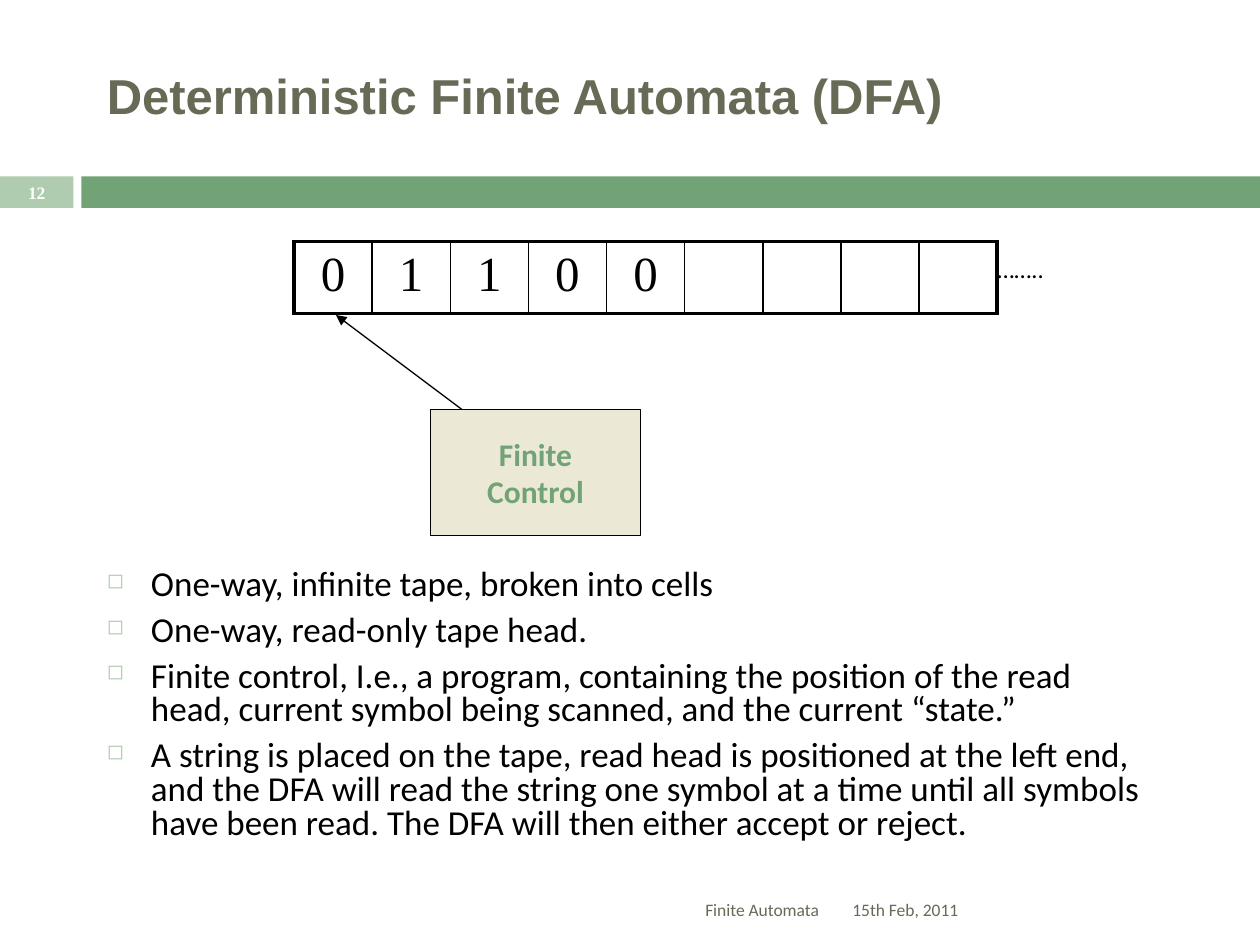
from dataclasses import dataclass

from lxml.etree import SubElement
from pptx import Presentation
from pptx.dml.color import RGBColor
from pptx.enum.shapes import MSO_CONNECTOR, MSO_SHAPE
from pptx.enum.text import MSO_ANCHOR, PP_ALIGN
from pptx.oxml.ns import qn
from pptx.util import Pt


@dataclass(frozen=True)
class Theme:
    """Colours, fonts and type sizes of the slide."""
    green: str = "72A376"
    pale_green: str = "B0CCB0"
    sand: str = "EBE8D5"
    olive: str = "676A55"
    black: str = "000000"
    white: str = "FFFFFF"
    heading: str = "Arial"
    body: str = "Calibri"
    serif: str = "Times New Roman"
    large: int = 28
    medium: int = 20
    label: int = 18
    dots: int = 14
    small: int = 10


THEME = Theme()
TAPE = ["0", "1", "1", "0", "0", "", "", "", ""]
POINTS = [
    "One-way, infinite tape, broken into cells",
    "One-way, read-only tape head.",
    "Finite control, I.e., a program, containing the position of the read "
    "head, current symbol being scanned, and the current “state.”",
    "A string is placed on the tape, read head is positioned at the left end, "
    "and the DFA will read the string one symbol at a time until all symbols "
    "have been read. The DFA will then either accept or reject.",
]


def apply_format(target, values):
    """Set every attribute named in values on target."""
    for name, value in values.items():
        setattr(target, name, value)


def add_span(para, text, name, size, color, bold=False):
    """Add one formatted run to a paragraph."""
    span = para.add_run()
    span.text = text
    apply_format(span.font, {"name": name, "size": Pt(size), "bold": bold})
    span.font.color.rgb = RGBColor.from_string(color)


def fill_text(shape, lines, font, frame_format, para_format):
    """Write each line as a paragraph of the shape and return the paragraphs."""
    frame = shape.text_frame
    apply_format(frame, {"word_wrap": True, **frame_format})
    paras = []
    for index, line in enumerate(lines):
        para = frame.add_paragraph() if index else frame.paragraphs[0]
        apply_format(para, para_format)
        add_span(para, line, **font)
        paras.append(para)
    return paras


def add_text(page, bounds, lines, font, align=PP_ALIGN.LEFT, anchor=MSO_ANCHOR.MIDDLE):
    """Add a text box."""
    box = page.shapes.add_textbox(*map(Pt, bounds))
    fill_text(box, lines, font, {"vertical_anchor": anchor}, {"alignment": align})
    return box


def add_rectangle(page, bounds, color, outline=None):
    """Add a filled rectangle, outlined if a colour is given."""
    box = page.shapes.add_shape(MSO_SHAPE.RECTANGLE, *map(Pt, bounds))
    box.shadow.inherit = False
    box.fill.solid()
    box.fill.fore_color.rgb = RGBColor.from_string(color)
    if outline:
        box.line.color.rgb = RGBColor.from_string(outline)
        box.line.width = Pt(0.75)
    else:
        box.line.fill.background()
    return box


def add_border(cell, side, width):
    """Draw one side of a table cell."""
    line = SubElement(cell._tc.get_or_add_tcPr(), qn(f"a:ln{side}"), w=str(Pt(width)))
    fill = SubElement(line, qn("a:solidFill"))
    SubElement(fill, qn("a:srgbClr"), val=THEME.black)


def add_tape(page, bounds, symbols):
    """Add the tape as a one-row table with a heavy outer border."""
    frame = page.shapes.add_table(1, len(symbols), *map(Pt, bounds))
    table = frame.table
    apply_format(table, {"first_row": False, "horz_banding": False})
    last = len(symbols) - 1
    for index, symbol in enumerate(symbols):
        table.columns[index].width = Pt(bounds[2] / len(symbols))
        cell = table.cell(0, index)
        widths = {"L": 1 if index else 2.25, "R": 1 if index < last else 2.25,
                  "T": 2.25, "B": 2.25}
        for side, width in widths.items():
            add_border(cell, side, width)
        cell.fill.background()
        if symbol:
            para = cell.text_frame.paragraphs[0]
            para.alignment = PP_ALIGN.CENTER
            add_span(para, symbol, THEME.serif, THEME.large, THEME.black)


def add_arrow(page, start, end):
    """Add a thin arrow with its head at the end point."""
    arrow = page.shapes.add_connector(MSO_CONNECTOR.STRAIGHT, *map(Pt, start + end))
    arrow.line.color.rgb = RGBColor.from_string(THEME.black)
    arrow.line.width = Pt(0.75)
    SubElement(arrow.line._get_or_add_ln(), qn("a:tailEnd"), type="triangle")
    SubElement(arrow._element.spPr, qn("a:effectLst"))


def add_bullets(page, bounds, lines):
    """Add a bulleted list with hanging indents."""
    box = page.shapes.add_textbox(*map(Pt, bounds))
    font = {"name": THEME.body, "size": THEME.medium, "color": THEME.black}
    paras = fill_text(box, lines, font, {}, {"line_spacing": 0.8})
    for index, para in enumerate(paras):
        para.space_before = Pt(7 if index else 0)
        properties = para._p.get_or_add_pPr()
        properties.set("marL", str(Pt(25.2)))
        properties.set("indent", str(Pt(-25.2)))
        color = SubElement(properties, qn("a:buClr"))
        SubElement(color, qn("a:srgbClr"), val=THEME.pale_green)
        SubElement(properties, qn("a:buSzPct"), val="60000")
        SubElement(properties, qn("a:buChar"), char="◻")


def main():
    """Build the slide and save it."""
    deck = Presentation()
    apply_format(deck, {"slide_width": Pt(720), "slide_height": Pt(540)})
    page = deck.slides.add_slide(deck.slide_layouts[6])

    add_rectangle(page, (0, 100.8, 42, 18), THEME.pale_green)
    add_rectangle(page, (46.5, 100.8, 673.5, 18), THEME.green)
    add_text(page, (0, 100, 42, 19.5), ["12"],
             {"name": THEME.serif, "size": THEME.small, "color": THEME.white, "bold": True},
             PP_ALIGN.CENTER)
    add_text(page, (54, 18, 612, 72), ["Deterministic Finite Automata (DFA)"],
             {"name": THEME.heading, "size": THEME.large, "color": THEME.olive, "bold": True})

    dots = add_text(page, (570, 145, 40, 18), ["…….."],
                    {"name": THEME.body, "size": THEME.dots, "color": THEME.black},
                    anchor=MSO_ANCHOR.TOP)
    apply_format(dots.text_frame, {"margin_left": 0, "margin_right": 0,
                                   "margin_top": 0, "margin_bottom": 0})
    add_bullets(page, (54, 322, 612, 194), POINTS)

    control = add_rectangle(page, (246, 234, 120, 72), THEME.sand, THEME.black)
    fill_text(control, ["Finite", "Control"],
              {"name": THEME.body, "size": THEME.label, "color": THEME.green, "bold": True},
              {"word_wrap": False, "vertical_anchor": MSO_ANCHOR.MIDDLE},
              {"alignment": PP_ALIGN.CENTER})
    add_tape(page, (168, 138, 402, 41), TAPE)
    add_arrow(page, (264, 234), (192, 180))

    footer = {"name": THEME.body, "size": THEME.small, "color": THEME.olive}
    add_text(page, (480, 505.5, 210, 28.8), ["15th Feb, 2011"], footer)
    add_text(page, (48, 505.5, 427, 28.8), ["Finite Automata"], footer, PP_ALIGN.RIGHT)
    deck.save("out.pptx")


if __name__ == "__main__":
    main()
